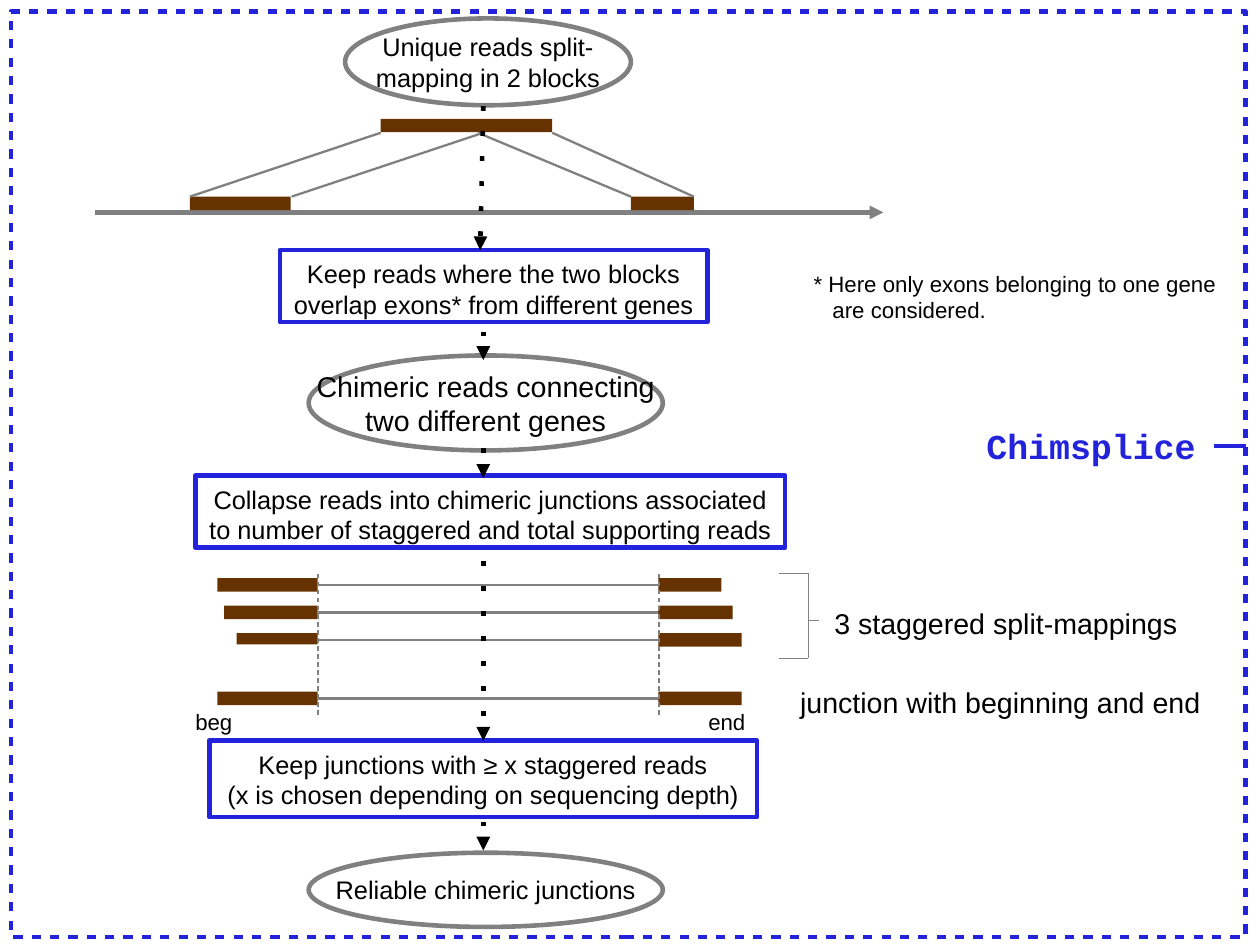
from lxml.etree import SubElement
from pptx import Presentation
from pptx.dml.color import RGBColor
from pptx.enum.shapes import MSO_CONNECTOR as Link, MSO_SHAPE as Form
from pptx.enum.text import MSO_ANCHOR as Anchor, MSO_AUTO_SIZE as Fit, PP_ALIGN as Align
from pptx.oxml.ns import qn
from pptx.util import Cm, Pt

BLACK = RGBColor(0x00, 0x00, 0x00)
GRAY = RGBColor(0x80, 0x80, 0x80)
BLUE = RGBColor(0x23, 0x23, 0xDC)
BROWN = RGBColor(0x66, 0x33, 0x00)

THICK, THIN, HAIR = 2.89, 1.45, 0.25
DOTS, DASHES, FINE = (1, 4.45), (2, 2), (2, 1.5)
AXIS = 10.74
BEG, END = 7.06, 14.65
BAR = 0.3


def write(shape, *lines, size=16, color=BLACK, font="Arial", bold=False,
          align=Align.LEFT, anchor=Anchor.TOP, inset=(0.25, 0.13), hang=0):
    """Fill a shape with one paragraph per line; later lines are indented by hang."""
    frame = shape.text_frame
    frame.word_wrap = False
    frame.auto_size = Fit.NONE
    frame.vertical_anchor = anchor
    frame.margin_left = frame.margin_right = Cm(inset[0])
    frame.margin_top = frame.margin_bottom = Cm(inset[1])
    for i, line in enumerate(lines):
        para = frame.add_paragraph() if i else frame.paragraphs[0]
        if i and hang:
            para._p.get_or_add_pPr().set("marL", str(Cm(hang)))
        para.alignment = align
        run = para.add_run()
        run.text = line
        run.font.name = font
        run.font.size = Pt(size)
        run.font.bold = bold
        run.font.color.rgb = color


def stroke(line, color, width, dash=None, head=False):
    """Style a line; dash is (length, gap) in line widths."""
    line.color.rgb = color
    line.width = Pt(width)
    ln = line._get_or_add_ln()
    if dash:
        on, gap = (str(int(n * 100000)) for n in dash)
        SubElement(SubElement(ln, qn("a:custDash")), qn("a:ds"), d=on, sp=gap)
    if head:
        SubElement(ln, qn("a:tailEnd"), type="triangle")


def link(slide, x1, y1, x2, y2, color=GRAY, width=THIN, **style):
    line = slide.shapes.add_connector(
        Link.STRAIGHT, Cm(x1), Cm(y1), Cm(x2), Cm(y2))
    SubElement(line._element.spPr, qn("a:effectLst"))
    stroke(line.line, color, width, **style)
    # The effect list must follow the line properties.
    line._element.spPr.append(line._element.spPr.find(qn("a:effectLst")))


def arrow(slide, top, end, x=AXIS):
    link(slide, AXIS, top, x, end, BLACK, THICK, dash=DOTS, head=True)


def outline(slide, form, at, color, dash=None):
    shape = slide.shapes.add_shape(form, *map(Cm, at))
    shape.shadow.inherit = False
    shape.fill.background()
    stroke(shape.line, color, THICK, dash)
    return shape


def step(slide, at, *lines):
    box = outline(slide, Form.RECTANGLE, at, BLUE)
    write(box, *lines, align=Align.CENTER, inset=(0.3, 0.18))


def state(slide, at, *lines, size=16):
    oval = outline(slide, Form.OVAL, at, GRAY)
    write(oval, *lines, size=size, align=Align.CENTER,
          anchor=Anchor.MIDDLE, inset=(0.3, 0.18))


def block(slide, x, y, width, height=BAR):
    bar = slide.shapes.add_shape(
        Form.RECTANGLE, Cm(x), Cm(y), Cm(width), Cm(height))
    bar.shadow.inherit = False
    bar.fill.solid()
    bar.fill.fore_color.rgb = BROWN
    bar.line.fill.background()


def label(slide, at, *lines, **style):
    write(slide.shapes.add_textbox(*map(Cm, at)), *lines, **style)


def mapping(slide):
    """Draw one read split into two blocks on the genome axis."""
    block(slide, 8.46, 2.64, 3.81)
    link(slide, 2.11, 4.72, 19.63, 4.72, width=THICK, head=True)
    block(slide, 4.22, 4.37, 2.24)
    block(slide, 14.02, 4.37, 1.4)
    for top, foot in ((8.46, 4.22), (10.74, 6.48), (10.62, 14.02), (12.27, 15.42)):
        link(slide, top, 2.95, foot, 4.37)


def junctions(slide):
    """Draw the staggered reads and the junction they collapse into."""
    rows = ((12.85, 4.83, 1.4, BAR), (13.46, 4.98, 1.65, BAR),
            (14.07, 5.26, 1.85, 0.25), (15.37, 4.83, 1.85, BAR))
    for y, left, width, height in rows:
        link(slide, BEG, y + BAR / 2, END, y + BAR / 2)
        block(slide, left, y, BEG - left, height)
        block(slide, END - 0.02, y, width)
    for x in (BEG, END):
        link(slide, x, 12.75, x, 15.93, dash=FINE)
    for ends in ((17.96, 12.73, 17.96, 14.63), (17.96, 12.73, 17.32, 12.73),
                 (17.96, 14.63, 17.32, 14.63), (17.96, 13.79, 18.19, 13.79)):
        link(slide, *ends, width=HAIR)
    label(slide, (18.29, 13.34, 8.13, 0.97), "3 staggered split-mappings", size=18)
    label(slide, (17.53, 15.09, 9.4, 0.97), "junction with beginning and end", size=18)
    label(slide, (4.09, 15.62, 1.32, 0.81), "beg", size=14)
    label(slide, (15.49, 15.62, 1.32, 0.81), "end", size=14)


def flow(slide):
    state(slide, (7.67, 0.41, 6.35, 1.93),
          "Unique reads split-", "mapping in 2 blocks")
    step(slide, (6.22, 5.56, 9.5, 1.6),
         "Keep reads where the two blocks", "overlap exons* from different genes")
    state(slide, (6.86, 7.9, 7.87, 2.11),
          "Chimeric reads connecting", "two different genes", size=18)
    step(slide, (4.34, 10.57, 13.11, 1.6),
         "Collapse reads into chimeric junctions associated",
         "to number of staggered and total supporting reads")
    step(slide, (4.65, 16.46, 12.17, 1.7),
         "Keep junctions with ≥ x staggered reads",
         "(x is chosen depending on sequencing depth)")
    state(slide, (6.86, 18.95, 7.87, 1.65), "Reliable chimeric junctions")
    arrow(slide, 2.36, 5.56, x=10.67)
    for top, end in ((7.37, 8), (9.96, 10.62), (12.47, 16.46), (18.26, 18.9)):
        arrow(slide, top, end)


def heading(slide):
    title = slide.shapes.title
    title.left, title.top, title.width, title.height = map(
        Cm, (21.67, 9.3, 5.16, 1.3))
    write(title, "Chimsplice", size=22, color=BLUE, font="Courier New", bold=True)
    link(slide, 26.97, 9.91, 27.69, 9.91, BLUE, THICK)


def main():
    deck = Presentation()
    deck.slide_width, deck.slide_height = Cm(28), Cm(21)
    slide = deck.slides.add_slide(deck.slide_layouts[5])
    mapping(slide)
    junctions(slide)
    label(slide, (17.83, 5.87, 9.6, 1.37),
          "* Here only exons belonging to one gene", "are considered.",
          size=14, hang=0.42)
    flow(slide)
    outline(slide, Form.RECTANGLE, (0.25, 0.25, 27.43, 20.57), BLUE, DASHES)
    heading(slide)
    deck.save("out.pptx")


if __name__ == "__main__":
    main()
